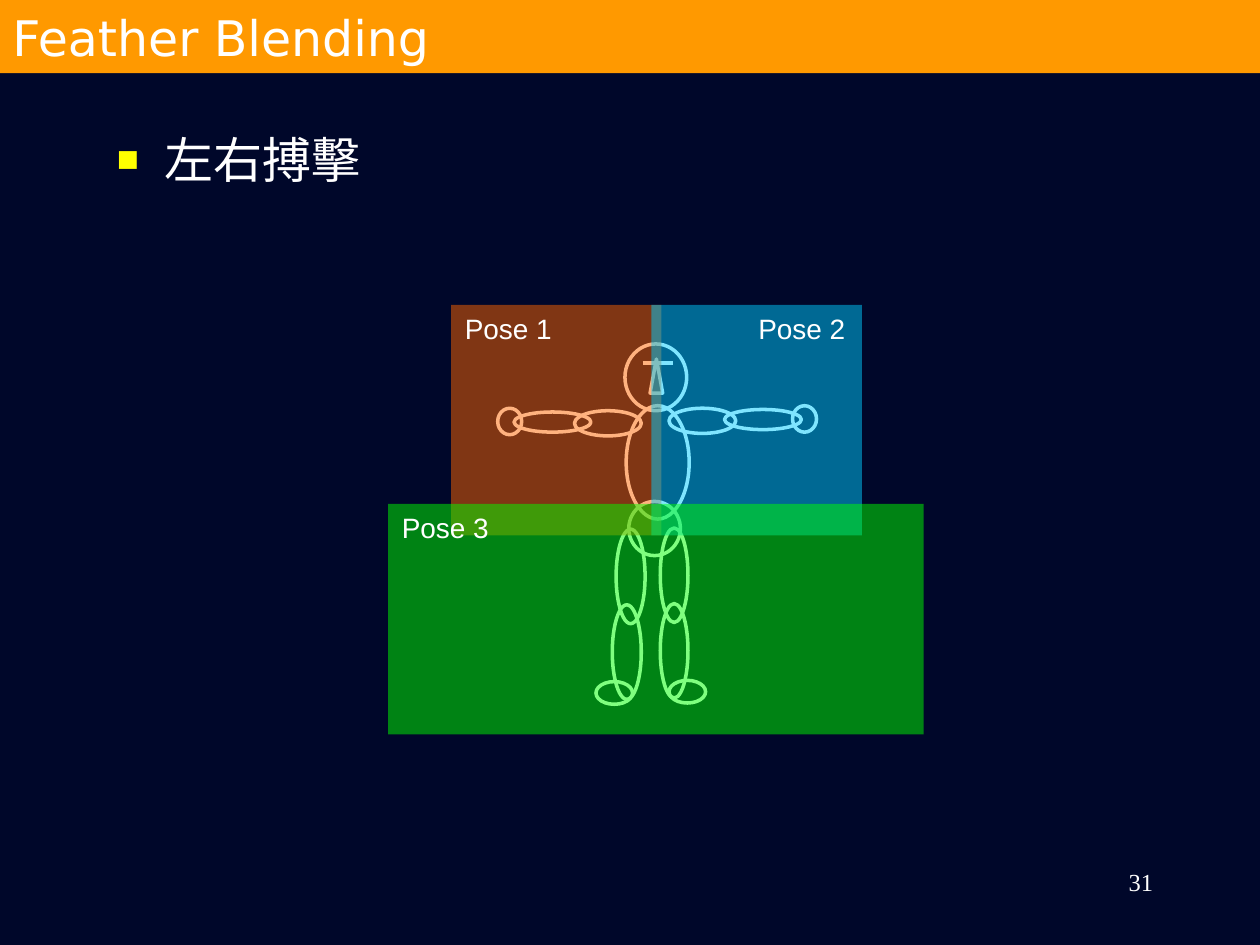
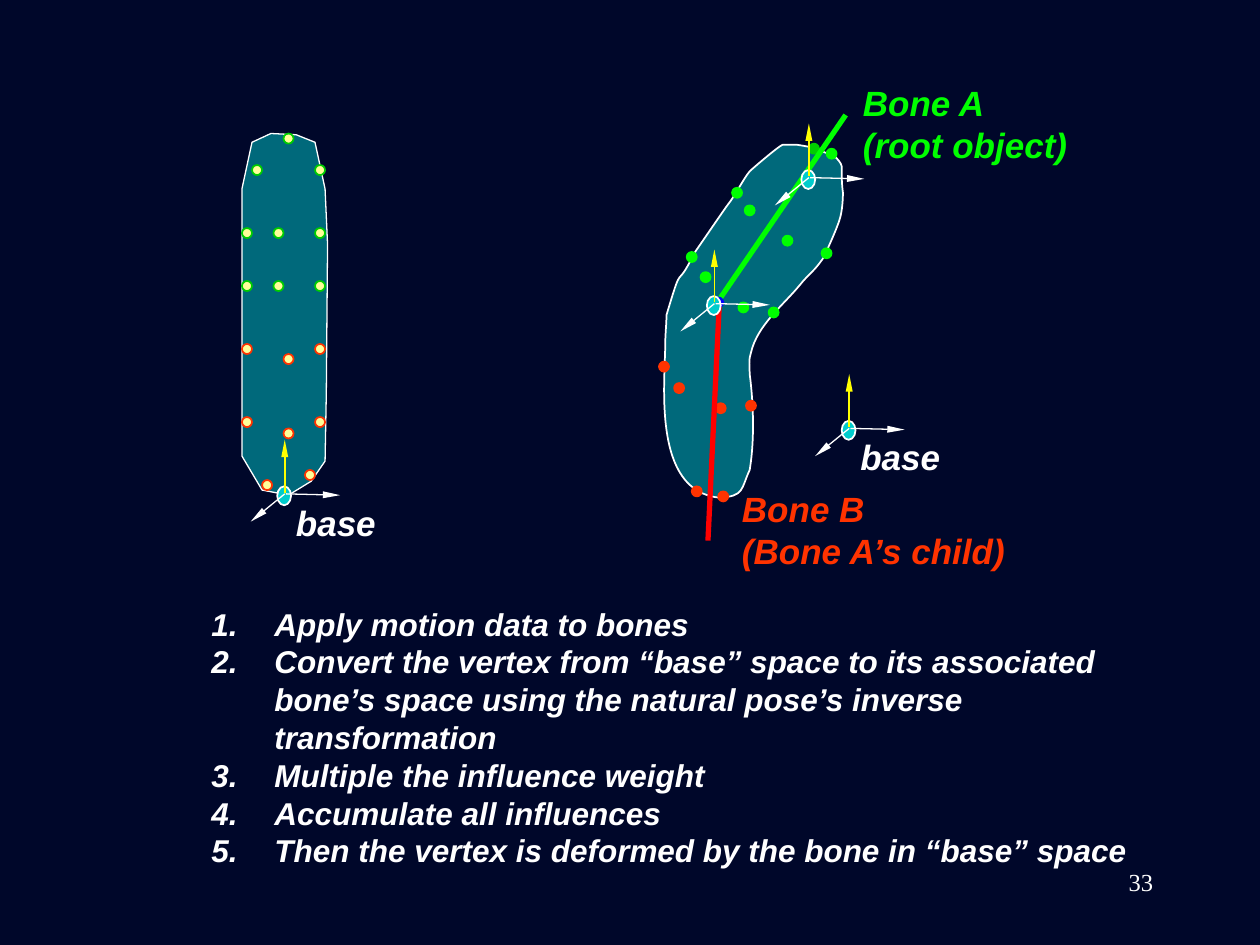
from lxml import etree
from pptx import Presentation
from pptx.dml.color import RGBColor
from pptx.enum.shapes import MSO_CONNECTOR, MSO_SHAPE
from pptx.enum.text import MSO_ANCHOR, MSO_AUTO_SIZE, PP_ALIGN
from pptx.oxml.ns import qn
from pptx.util import Inches, Pt

OVAL = MSO_SHAPE.OVAL
RECT = MSO_SHAPE.RECTANGLE
TRIANGLE = MSO_SHAPE.ISOSCELES_TRIANGLE
STRAIGHT = MSO_CONNECTOR.STRAIGHT
LEFT = PP_ALIGN.LEFT
RIGHT = PP_ALIGN.RIGHT
MIDDLE = MSO_ANCHOR.MIDDLE
GROW = MSO_AUTO_SIZE.SHAPE_TO_FIT_TEXT

NAVY = RGBColor(0x00, 0x07, 0x2A)
WHITE = RGBColor(0xFF, 0xFF, 0xFF)
ORANGE = RGBColor(0xFF, 0x99, 0x00)
YELLOW = RGBColor(0xFF, 0xFF, 0x00)
CREAM = RGBColor(0xFF, 0xFF, 0x99)
RUST = RGBColor(0xFF, 0x66, 0x00)
SKY = RGBColor(0x00, 0xCC, 0xFF)
TEAL = RGBColor(0x00, 0xCC, 0xCC)
GREEN = RGBColor(0x00, 0xFF, 0x00)
LEAF = RGBColor(0x00, 0xCC, 0x00)
VERMILION = RGBColor(0xFF, 0x33, 0x00)
RED = RGBColor(0xFF, 0x00, 0x00)
BLUE = RGBColor(0x00, 0x00, 0xFF)

DOT = 0.08

BODY_PARTS = [
    (4.96, 2.73, 0.49, 0.53), (4.97, 3.22, 0.5, 0.9), (4.99, 3.98, 0.41, 0.43),
    (5.24, 4.19, 0.22, 0.75), (4.89, 4.2, 0.23, 0.75),
    (5.24, 4.79, 0.22, 0.75), (4.86, 4.8, 0.23, 0.75),
    (4.73, 5.41, 0.29, 0.18), (5.31, 5.4, 0.29, 0.18),
    (4.56, 3.26, 0.53, 0.2), (4.08, 3.27, 0.61, 0.16),
    (5.31, 3.24, 0.53, 0.2), (5.75, 3.25, 0.61, 0.16),
    (3.95, 3.24, 0.19, 0.21), (6.29, 3.22, 0.19, 0.21),
]

POSES = [
    ("Pose 1", (3.58, 2.42, 1.67, 1.83), RUST, 3.59),
    ("Pose 2", (5.17, 2.42, 1.67, 1.83), SKY, 5.92),
    ("Pose 3", (3.08, 4, 4.25, 1.83), GREEN, 3.09),
]

BENT_OUTLINE = [
    (5.95, 1.36),
    (5.9, 1.42), (5.83, 1.56), (5.78, 1.62), (5.75, 1.66), (5.62, 1.85), (5.51, 2.01),
    (5.35, 2.34), (5.43, 2.03), (5.29, 2.5), (5.29, 2.56), (5.28, 2.66), (5.28, 2.72),
    (5.28, 3.03), (5.17, 3.9), (5.71, 3.95), (5.91, 3.94), (5.88, 3.88), (5.95, 3.73),
    (5.99, 3.49), (5.98, 3.2), (5.95, 2.97), (5.95, 2.91), (5.94, 2.85), (5.96, 2.8),
    (6.01, 2.58), (6.22, 2.42), (6.35, 2.26), (6.44, 2.15), (6.45, 2.17), (6.54, 2.04),
    (6.57, 1.97), (6.65, 1.8), (6.67, 1.72), (6.69, 1.64), (6.69, 1.53), (6.69, 1.53),
    (6.68, 1.46), (6.68, 1.39), (6.68, 1.32), (6.68, 1.3), (6.64, 1.25), (6.62, 1.24),
    (6.61, 1.23), (6.54, 1.21), (6.52, 1.2), (6.39, 1.17), (6.52, 1.18), (6.33, 1.15),
    (6.31, 1.15), (6.23, 1.15), (6.21, 1.15), (6.18, 1.16), (5.97, 1.34), (5.95, 1.36),
]
STRAIGHT_OUTLINE = [
    (2, 1.13), (1.92, 1.5), (1.92, 1.96), (1.92, 3.16), (1.92, 3.62), (2.08, 3.89),
    (2.29, 3.93), (2.47, 3.82), (2.58, 3.66), (2.59, 3.12), (2.6, 1.94), (2.58, 1.5),
    (2.5, 1.13), (2.35, 1.07), (2.15, 1.06), (2, 1.13),
]

BENT_A_VERTICES = [
    (5.91, 1.63), (6.21, 1.87), (5.56, 2.16), (5.86, 2.4), (6.1, 2.44),
    (6.52, 1.97), (6.56, 1.18), (5.45, 2), (5.81, 1.49),
]
BENT_B_VERTICES = [
    (5.35, 3.04), (5.68, 3.2), (5.92, 3.18), (5.49, 3.86), (5.7, 3.9), (5.23, 2.87),
]
REST_A_VERTICES = [(x, y) for y in (2.23, 1.81) for x in (1.92, 2.17, 2.5)]
REST_A_VERTICES += [(2, 1.31), (2.5, 1.31), (2.25, 1.06)]
REST_B_VERTICES = [
    (1.92, 2.73), (2.25, 2.81), (2.5, 2.73), (1.92, 3.31), (2.25, 3.4),
    (2.5, 3.31), (2.08, 3.81), (2.42, 3.73),
]

STEPS = [
    "Apply motion data to bones",
    "Convert the vertex from “base” space to its associated bone’s space "
    "using the natural pose’s inverse transformation",
    "Multiple the influence weight",
    "Accumulate all influences",
    "Then the vertex is deformed by the bone in “base” space",
]


def paint(sp, fill=None, line=None, width=1, alpha=None):
    sp.shadow.inherit = False
    if fill is None:
        sp.fill.background()
    else:
        sp.fill.solid()
        sp.fill.fore_color.rgb = fill
        if alpha is not None:
            clr = sp.fill._xPr.find(".//" + qn("a:srgbClr"))
            etree.SubElement(clr, qn("a:alpha"), val=str(alpha * 1000))
    if line is None:
        sp.line.fill.background()
    else:
        sp.line.color.rgb = line
        sp.line.width = Pt(width)


def add_preset(s, kind, box, **look):
    sp = s.shapes.add_shape(kind, *map(Inches, box))
    paint(sp, **look)
    return sp


def add_line(s, start, end, color, width, arrow=False, cap="flat"):
    cn = s.shapes.add_connector(STRAIGHT, *map(Inches, start + end))
    cn.line.color.rgb = color
    cn.line.width = Pt(width)
    ln = cn.line._get_or_add_ln()
    ln.set("cap", cap)
    if arrow:
        etree.SubElement(ln, qn("a:tailEnd"), type="triangle", w="sm", len="lg")
    etree.SubElement(cn._element.spPr, qn("a:effectLst"))


def add_outline(s, points, curved=False, **look):
    pts = [(Inches(x), Inches(y)) for x, y in points]
    fb = s.shapes.build_freeform(*pts[0])
    fb.add_line_segments(pts[1:], close=True)
    sp = fb.convert_to_shape()
    paint(sp, **look)
    if curved:
        bend_segments(sp)


def bend_segments(sp):
    segments = list(sp._element.iter(qn("a:lnTo")))
    for i in range(0, len(segments), 3):
        curve = etree.Element(qn("a:cubicBezTo"))
        segments[i].addprevious(curve)
        for segment in segments[i:i + 3]:
            curve.append(segment[0])
            segment.getparent().remove(segment)


def add_bullet(p, indent, color, char=None, size=100):
    pPr = p._p.get_or_add_pPr()
    pPr.set("marL", str(Inches(indent)))
    pPr.set("indent", str(-Inches(indent)))
    clr = etree.SubElement(pPr, qn("a:buClr"))
    etree.SubElement(clr, qn("a:srgbClr"), val=str(color))
    etree.SubElement(pPr, qn("a:buSzPct"), val=str(size * 1000))
    etree.SubElement(pPr, qn("a:buFont"), typeface="Arial")
    if char:
        etree.SubElement(pPr, qn("a:buChar"), char=char)
    else:
        etree.SubElement(pPr, qn("a:buAutoNum"), type="arabicPeriod")


def fill_text(tf, lines, size, font="Arial", color=WHITE, strong=False,
              align=None, bullet=None):
    for i, text in enumerate(lines):
        p = tf.paragraphs[0] if i == 0 else tf.add_paragraph()
        if bullet:
            add_bullet(p, **bullet)
        if align is not None:
            p.alignment = align
        r = p.add_run()
        r.text = text
        r.font.size = Pt(size)
        r.font.name = font
        r.font.color.rgb = color
        r.font.bold = r.font.italic = strong


def add_text(s, box, lines, size, wrap=True, grow=False, **style):
    tf = s.shapes.add_textbox(*map(Inches, box)).text_frame
    tf.word_wrap = wrap
    if grow:
        tf.auto_size = GROW
    fill_text(tf, lines, size, **style)


def add_label(s, box, lines, size=20, color=WHITE, strong=True):
    add_text(s, box, lines, size, wrap=False, grow=True, color=color, strong=strong)


def add_title_band(s, title):
    sp = add_preset(s, RECT, (0, 0, 10, 0.58), fill=ORANGE)
    sp.text_frame.vertical_anchor = MIDDLE
    fill_text(sp.text_frame, [title], 28, font="DejaVu Sans", align=LEFT)


def add_vertices(s, corners, fill, line):
    for x, y in corners:
        add_preset(s, OVAL, (x, y, DOT, DOT), fill=fill, line=line)


def add_axes(s, x, y):
    add_preset(s, OVAL, (x, y, 0.11, 0.15), fill=TEAL, line=WHITE)
    add_line(s, (x + 0.06, y + 0.05), (x + 0.06, y - 0.37), YELLOW, 1, True)
    add_line(s, (x + 0.07, y + 0.06), (x + 0.5, y + 0.07), WHITE, 0.75, True)
    add_line(s, (x + 0.06, y + 0.06), (x - 0.21, y + 0.28), WHITE, 0.75, True)


def add_slide(prs, number):
    s = prs.slides.add_slide(prs.slide_layouts[6])
    s.background.fill.solid()
    s.background.fill.fore_color.rgb = NAVY
    add_text(s, (7.17, 6.83, 2.08, 0.5), [str(number)], 14,
             font="Times New Roman", align=RIGHT)
    return s


def build_feather_blending(prs):
    s = add_slide(prs, 31)
    add_text(s, (0.83, 0.98, 8.5, 3.69), ["左右搏擊"], 28, font="Karla",
             bullet=dict(indent=0.38, color=YELLOW, char="■", size=75))
    for box in BODY_PARTS:
        add_preset(s, OVAL, box, line=WHITE, width=2)
    add_preset(s, TRIANGLE, (5.16, 2.85, 0.1, 0.27), line=WHITE, width=2)
    add_line(s, (5.1, 2.88), (5.34, 2.88), WHITE, 2)
    for _, box, color, _ in POSES:
        add_preset(s, RECT, box, fill=color, alpha=50)
    for name, box, _, left in POSES:
        add_label(s, (left, box[1], 0.89, 0.37), [name], 16, strong=False)
    add_title_band(s, "Feather Blending")


def build_skinning(prs):
    s = add_slide(prs, 33)
    add_outline(s, BENT_OUTLINE, curved=True, fill=TEAL, line=WHITE, alpha=50)
    add_vertices(s, BENT_A_VERTICES, GREEN, GREEN)
    add_vertices(s, BENT_B_VERTICES, VERMILION, VERMILION)
    add_vertices(s, [(6.42, 1.14)], LEAF, LEAF)
    add_line(s, (5.7, 2.39), (6.7, 0.93), GREEN, 3, cap="sq")
    add_line(s, (5.71, 2.39), (5.62, 4.27), RED, 3, cap="sq")
    add_label(s, (6.75, 0.6, 1.82, 0.77), ["Bone A", "(root object)"], color=GREEN)
    add_vertices(s, [(5.66, 2.36)], BLUE, BLUE)
    add_label(s, (5.79, 3.82, 2.32, 0.77), ["Bone B", "(Bone A’s child)"],
              color=VERMILION)
    for hub in ((6.36, 1.35), (5.61, 2.35), (6.68, 3.34)):
        add_axes(s, *hub)
    add_label(s, (6.73, 3.41, 0.85, 0.44), ["base"])

    add_outline(s, STRAIGHT_OUTLINE, fill=TEAL, line=WHITE, width=0.75, alpha=50)
    add_axes(s, 2.2, 3.86)
    add_label(s, (2.25, 3.93, 0.85, 0.44), ["base"])
    add_vertices(s, REST_B_VERTICES, CREAM, VERMILION)
    add_vertices(s, REST_A_VERTICES, CREAM, LEAF)
    add_text(s, (1.58, 4.75, 7.58, 2.5), STEPS, 18, grow=True, strong=True,
             bullet=dict(indent=0.5, color=WHITE))


def main():
    prs = Presentation()
    prs.slide_width = Inches(10)
    prs.slide_height = Inches(7.5)
    build_feather_blending(prs)
    build_skinning(prs)
    prs.save("out.pptx")


if __name__ == "__main__":
    main()
